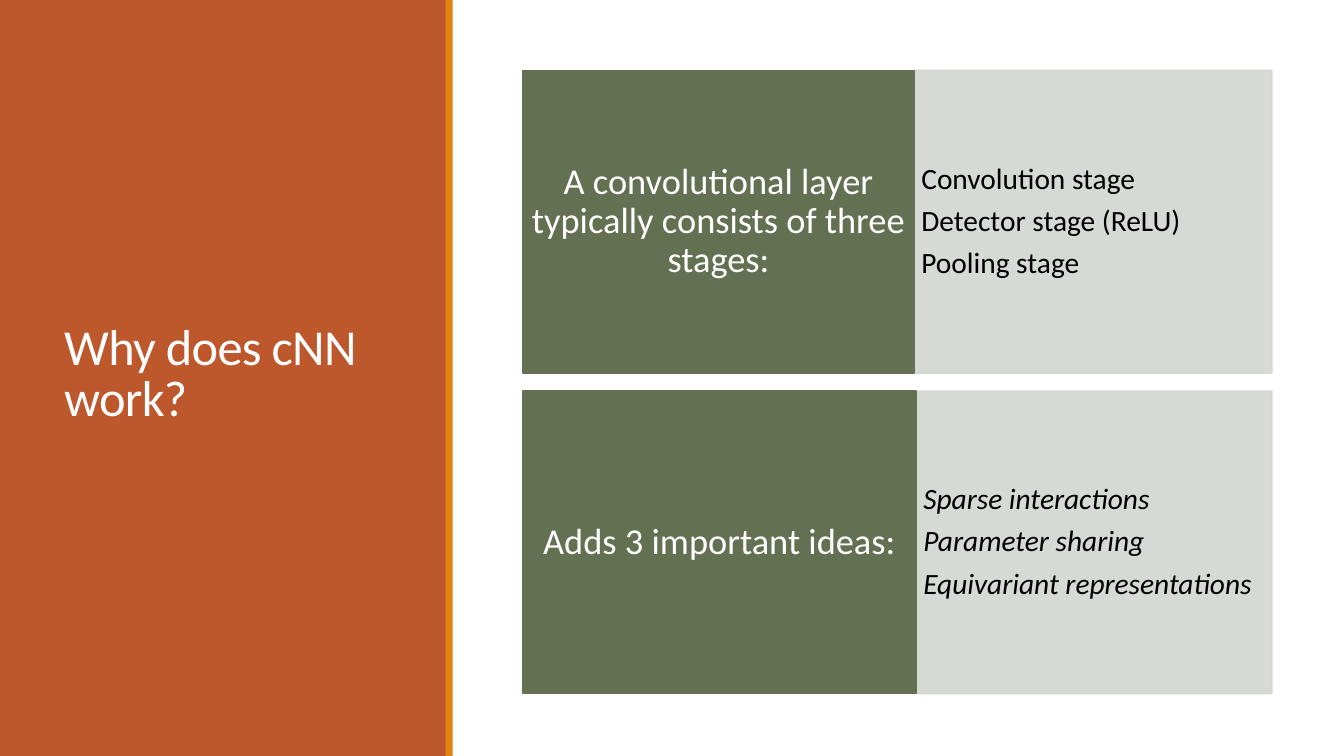
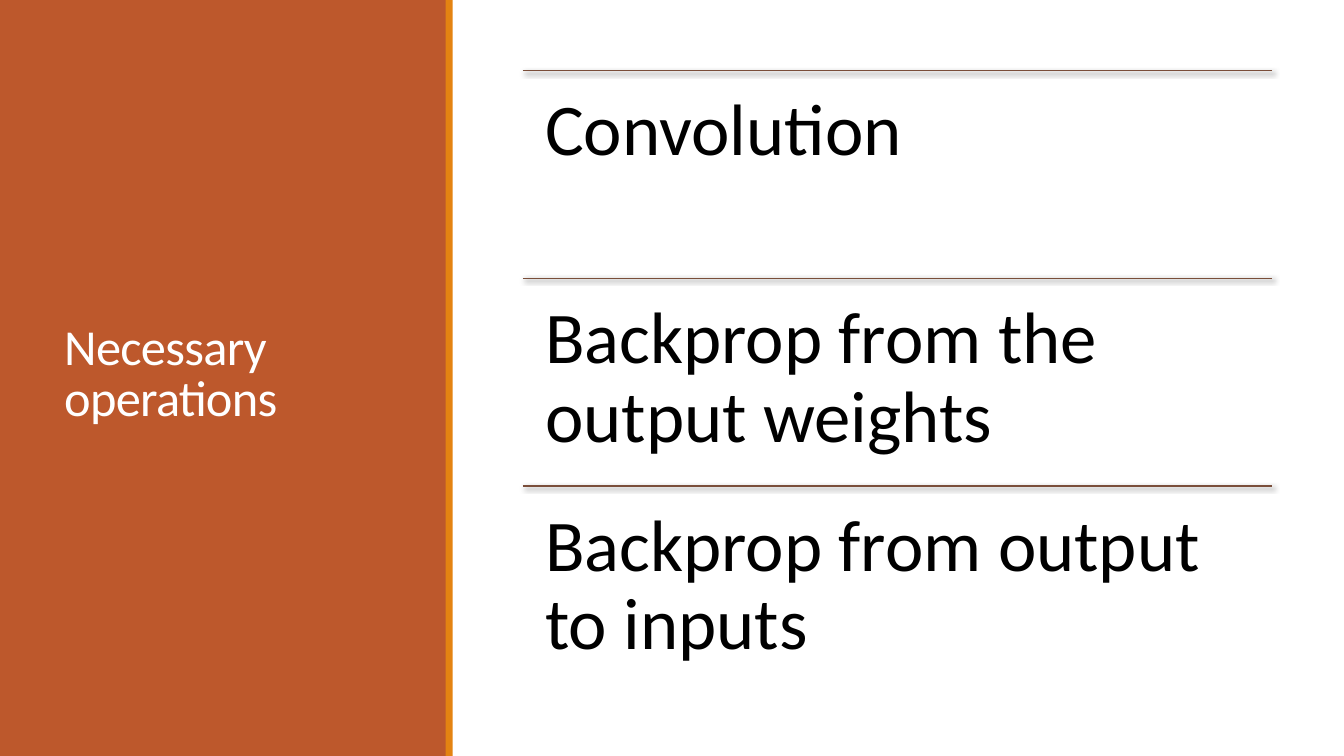
from dataclasses import dataclass

from lxml.etree import SubElement
from pptx import Presentation
from pptx.dml.color import RGBColor
from pptx.enum.shapes import MSO_CONNECTOR, MSO_SHAPE
from pptx.enum.text import MSO_ANCHOR as Anchor, PP_ALIGN as Align
from pptx.oxml.ns import qn
from pptx.util import Cm, Pt

FONT = "Calibri"
WHITE, BLACK = "FFFFFF", "000000"
RUST, ORANGE = "BD582C", "E48312"
GREEN, PALE, RULE = "637052", "D3D5D1", "7A4E3A"
PAGE_WIDTH, PAGE_HEIGHT = 33.87, 19.05


@dataclass
class Box:
    """A rectangle in centimetres."""
    left: float
    top: float
    width: float
    height: float

    def lengths(self):
        return Cm(self.left), Cm(self.top), Cm(self.width), Cm(self.height)

    def rows(self, count, gap=0):
        height = (self.height - gap * (count - 1)) / count
        return [Box(self.left, self.top + i * (height + gap), self.width, height)
                for i in range(count)]

    def split(self, width):
        return (Box(self.left, self.top, width, self.height),
                Box(self.left + width, self.top, self.width - width, self.height))


PANEL = Box(0, 0, 11.25, PAGE_HEIGHT)
STRIP = Box(11.23, 0, 0.18, PAGE_HEIGHT)
TITLE = Box(1.37, 1.45, 8.56, 16.03)
CONTENT = Box(13.18, 1.78, 18.87, 15.7)


def color(value):
    return RGBColor.from_string(value)


def set_alpha(fill, percent):
    """Make the solid color below a fill or line element translucent."""
    for node in fill.iter(qn("a:srgbClr")):
        SubElement(node, qn("a:alpha")).set("val", str(percent * 1000))


def add_rect(page, box, fill, outlined=False, alpha=None):
    rect = page.shapes.add_shape(MSO_SHAPE.RECTANGLE, *box.lengths())
    rect.shadow.inherit = False
    rect.fill.solid()
    rect.fill.fore_color.rgb = color(fill)
    if outlined:
        rect.line.color.rgb = color(fill)
        rect.line.width = Pt(1.25)
    else:
        rect.line.fill.background()
    if alpha:
        set_alpha(rect._element.spPr, alpha)
    return rect


def add_textbox(page, box):
    return page.shapes.add_textbox(*box.lengths())


def write(shape, lines, size, ink, anchor=Anchor.MIDDLE, align=Align.LEFT,
          insets=(0.25, 0.13), spacing=0.9, after=0.35, italic=False):
    frame = shape.text_frame
    frame.word_wrap = True
    frame.vertical_anchor = anchor
    frame.margin_left = frame.margin_right = Cm(insets[0])
    frame.margin_top = frame.margin_bottom = Cm(insets[1])
    frame.text = "\n".join(lines)
    for para in frame.paragraphs:
        para.alignment = align
        para.line_spacing = spacing
        para.space_after = Pt(size * after)
        para.font.name = FONT
        para.font.size = Pt(size)
        para.font.color.rgb = color(ink)
        para.font.italic = italic
    return frame


def add_rule(page, box):
    """Draw a softly shadowed line along the top of the box."""
    left, top, width, _ = box.lengths()
    rule = page.shapes.add_connector(MSO_CONNECTOR.STRAIGHT, left, top, left + width, top)
    rule.line.color.rgb = color(RULE)
    rule.line.width = Pt(1)
    effects = SubElement(rule._element.spPr, qn("a:effectLst"))
    shadow = SubElement(effects, qn("a:outerShdw"), blurRad=str(Pt(3.5)),
                        dist=str(Pt(2)), dir=str(45 * 60000), rotWithShape="0")
    SubElement(shadow, qn("a:srgbClr"), val=BLACK)
    set_alpha(shadow, 60)


def add_page(deck, title):
    """Blank page with the shared side panel and title."""
    page = deck.slides.add_slide(deck.slide_layouts[6])
    add_rect(page, PANEL, RUST)
    add_rect(page, STRIP, ORANGE)
    frame = write(add_textbox(page, TITLE), [title], 36, WHITE, spacing=0.85, after=0)
    for span in frame.paragraphs[0].runs:
        span._r.get_or_add_rPr().set("spc", "-50")
    return page


def add_card(page, box, label_width, label, points, italic):
    """Green label on the left, pale list on the right."""
    label_box, list_box = box.split(label_width)
    write(add_rect(page, list_box, PALE, outlined=True, alpha=90), points, 21, BLACK,
          insets=(0.18, 1.93), italic=italic)
    write(add_rect(page, label_box, GREEN, outlined=True), [label], 26, WHITE,
          align=Align.CENTER, insets=(0.13, 0.76))


def add_cards_page(deck, title, cards):
    page = add_page(deck, title)
    for box, card in zip(CONTENT.rows(len(cards), gap=0.46), cards):
        add_card(page, box, *card)


def add_ruled_page(deck, title, items):
    page = add_page(deck, title)
    for box, item in zip(CONTENT.rows(len(items)), items):
        add_rule(page, box)
        write(add_textbox(page, box), [item], 52, BLACK, anchor=Anchor.TOP,
              insets=(0.56, 0.56))


def main():
    deck = Presentation()
    deck.slide_width, deck.slide_height = Cm(PAGE_WIDTH), Cm(PAGE_HEIGHT)

    add_cards_page(deck, "Why does cNN work?", [
        (9.86, "A convolutional layer typically consists of three stages:",
         ["Convolution stage", "Detector stage (ReLU)", "Pooling stage"], False),
        (9.91, "Adds 3 important ideas:",
         ["Sparse interactions", "Parameter sharing", "Equivariant representations"], True),
    ])
    add_ruled_page(deck, "Necessary operations", [
        "Convolution",
        "Backprop from the output weights",
        "Backprop from output to inputs",
    ])

    deck.save("out.pptx")


if __name__ == "__main__":
    main()
